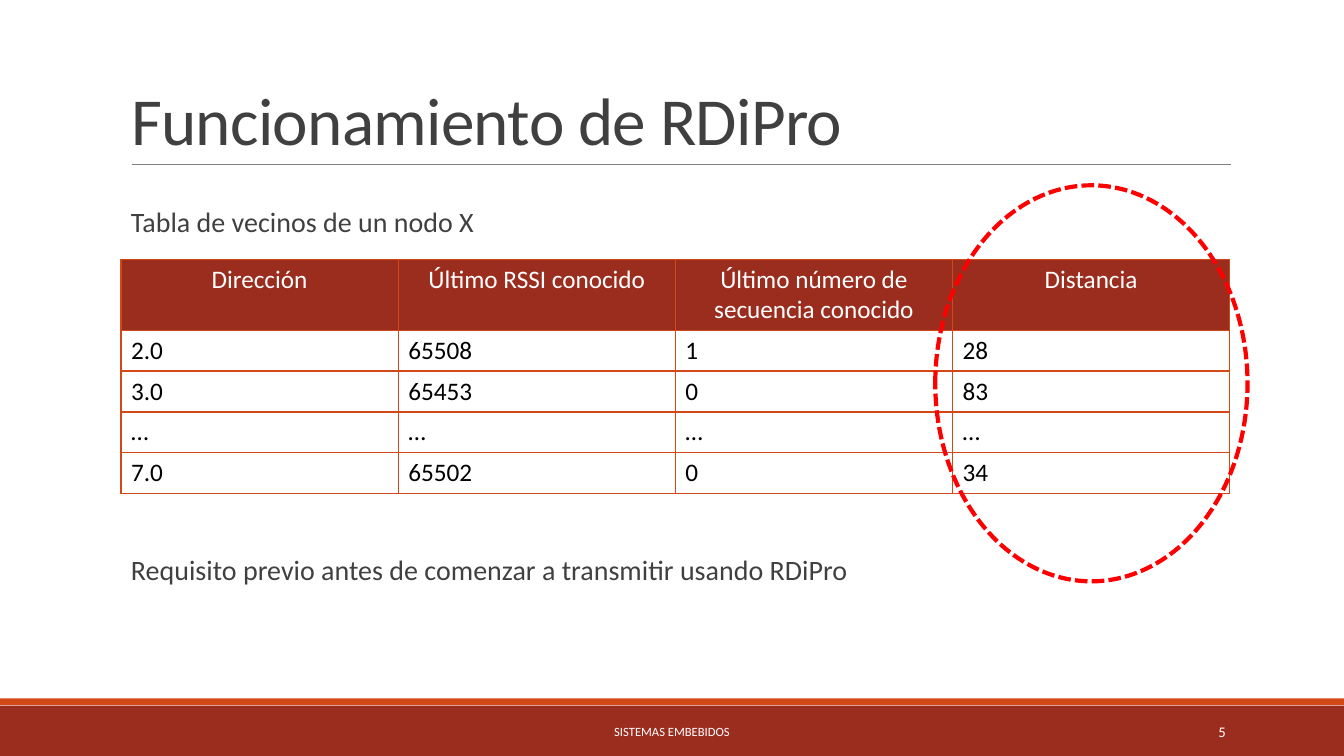
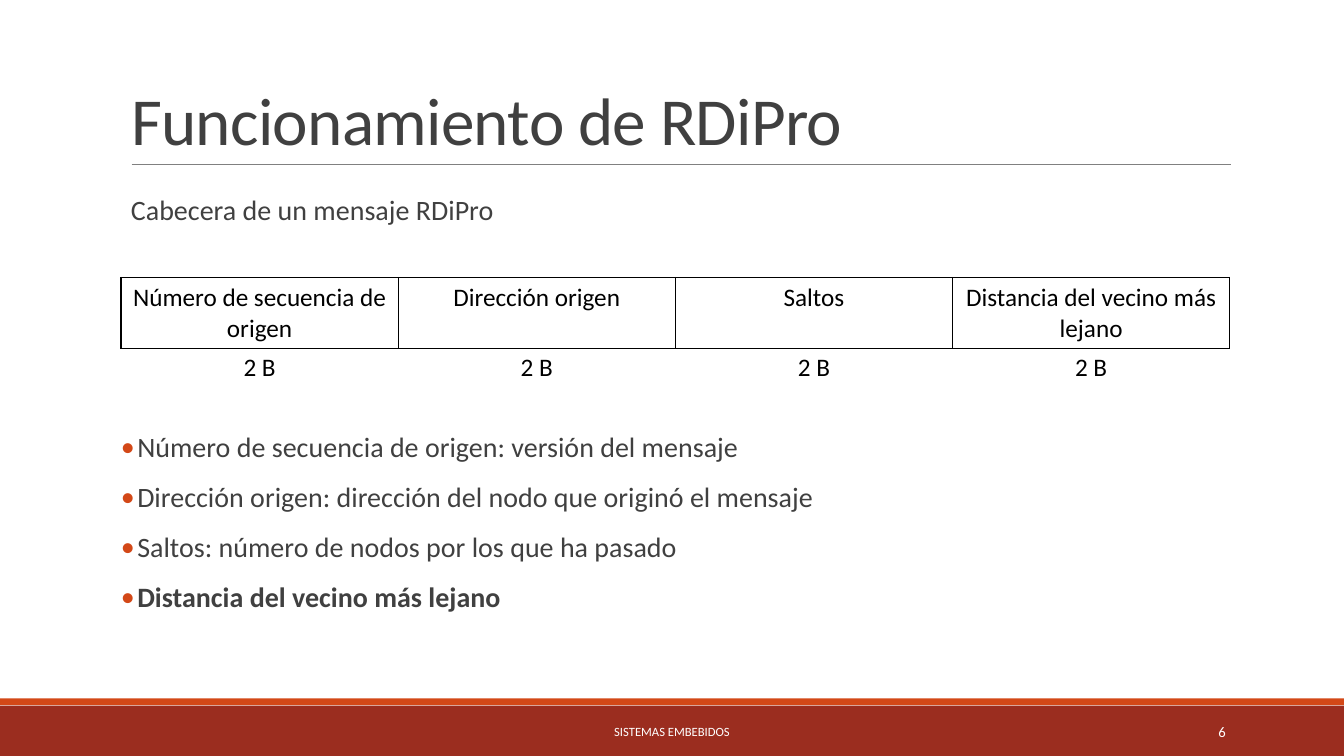
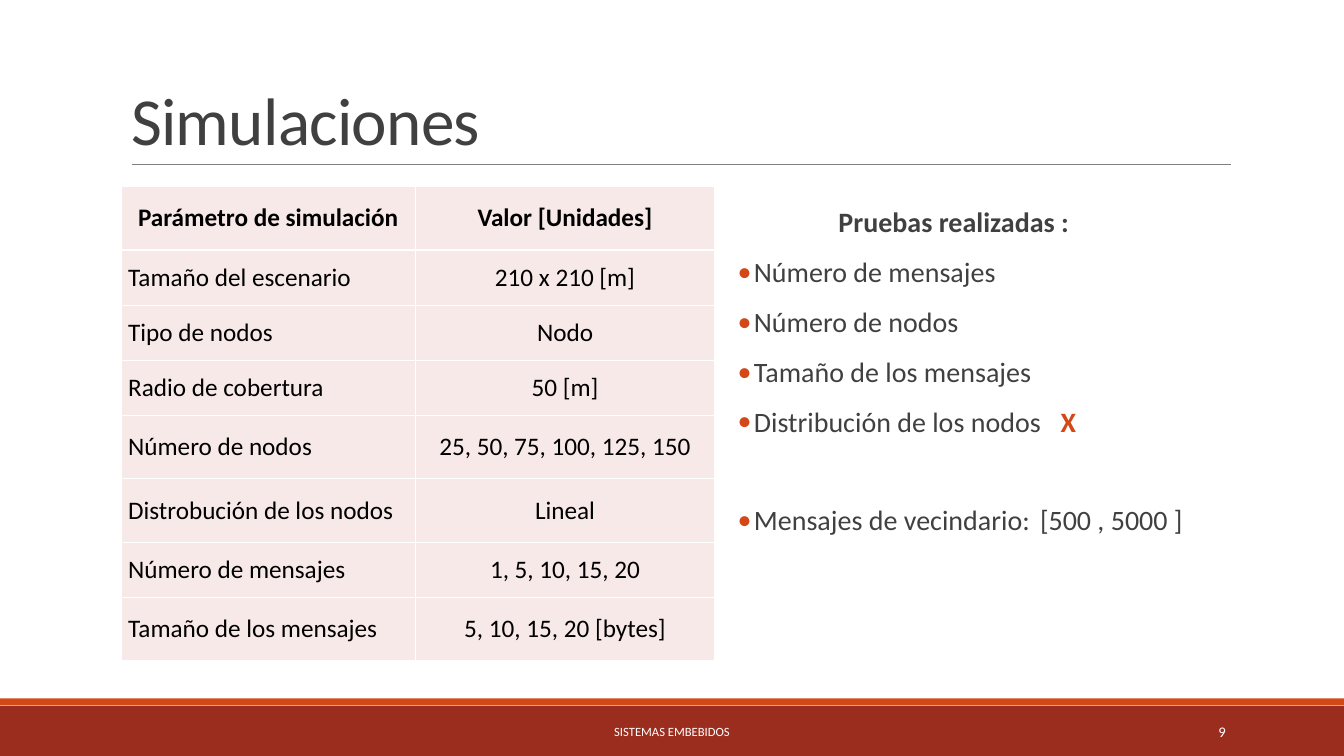
"""Build three slides on the RDiPro protocol and its simulations."""
import lxml.etree
import pptx
import pptx.dml.color
import pptx.enum.dml
import pptx.enum.shapes
import pptx.enum.text
import pptx.oxml
import pptx.oxml.ns
import pptx.util

Cm, Pt = pptx.util.Cm, pptx.util.Pt
Align, Anchor = pptx.enum.text.PP_ALIGN, pptx.enum.text.MSO_ANCHOR
Shape = pptx.enum.shapes.MSO_SHAPE
qn = pptx.oxml.ns.qn

FONT = "Calibri"
BRICK, ORANGE, PINK = "9B2D1F", "D34817", "F7E9E8"
GRAY, RULE, WHITE, BLACK, RED = "404040", "808080", "FFFFFF", "000000", "FF0000"
LEFT, WIDTH = 3.05, 27.94
SLIDE_WIDTH, SLIDE_HEIGHT = 33.87, 19.05
NO_STYLE = "{2D5ABB26-0587-4C30-8999-92F81FD0307C}"


def rgb(value):
    """Turn a hex string into a colour."""
    return pptx.dml.color.RGBColor.from_string(value)


def add_text(page, place, lines, size=20, color=GRAY, align=Align.LEFT,
             anchor=Anchor.TOP, spacing=0.9):
    """Add a text box; each line is text plus a dict of options."""
    frame = page.shapes.add_textbox(*map(Cm, place)).text_frame
    frame.word_wrap = True
    frame.vertical_anchor = anchor
    frame.margin_left = frame.margin_right = 0
    for index, (text, options) in enumerate(lines):
        para = frame.add_paragraph() if index else frame.paragraphs[0]
        para.text = text
        para.alignment = align
        para.line_spacing = spacing
        para.space_before = Pt(options.get("before", 12 if index else 0))
        para.space_after = Pt(2)
        font = para.runs[0].font
        font.name, font.size, font.bold = FONT, Pt(size), options.get("bold", False)
        font.color.rgb = rgb(color)
        settings = para._p.get_or_add_pPr()
        settings.set("marL", str(Cm(options.get("indent", 0))))
        if options.get("bullet"):
            settings.set("indent", str(-Cm(options["indent"])))
            bullet_color = lxml.etree.SubElement(settings, qn("a:buClr"))
            lxml.etree.SubElement(bullet_color, qn("a:srgbClr"), val=ORANGE)
            lxml.etree.SubElement(settings, qn("a:buFont"), typeface=FONT)
            lxml.etree.SubElement(settings, qn("a:buChar"), char="•")
        if "tab" in options:
            stops = lxml.etree.SubElement(settings, qn("a:tabLst"))
            lxml.etree.SubElement(stops, qn("a:tab"), pos=str(Cm(options["tab"])), algn="l")
    return frame


deck = pptx.Presentation()
deck.slide_width, deck.slide_height = Cm(SLIDE_WIDTH), Cm(SLIDE_HEIGHT)

pages = []
for title_text, number in [("Funcionamiento de RDiPro", "5"),
                           ("Funcionamiento de RDiPro", "6"),
                           ("Simulaciones", "9")]:
    page = deck.slides.add_slide(deck.slide_layouts[5])
    pages.append(page)
    for top, height, color in [(17.78, 1.27, BRICK), (17.6, 0.17, ORANGE)]:
        band = page.shapes.add_shape(Shape.RECTANGLE, 0, Cm(top), Cm(SLIDE_WIDTH), Cm(height))
        band.shadow.inherit = False
        band.fill.solid()
        band.fill.fore_color.rgb = rgb(color)
        band.line.fill.background()
    rule = page.shapes.add_connector(pptx.enum.shapes.MSO_CONNECTOR.STRAIGHT,
                                     Cm(3.32), Cm(4.14), Cm(31.01), Cm(4.14))
    rule.line.color.rgb = rgb(RULE)
    rule.line.width = Pt(0.5)
    lxml.etree.SubElement(rule._element.spPr, qn("a:effectLst"))

    title = page.shapes.title
    title.left, title.top, title.width, title.height = map(Cm, (LEFT, 0.1, WIDTH, 4.04))
    title.text_frame.text = title_text
    title.text_frame.vertical_anchor = Anchor.BOTTOM
    title.text_frame.auto_size = pptx.enum.text.MSO_AUTO_SIZE.NONE
    para = title.text_frame.paragraphs[0]
    para.alignment = Align.LEFT
    para.line_spacing = 0.85
    span = para.runs[0]
    span.font.name, span.font.size = FONT, Pt(48)
    span.font.color.rgb = rgb(GRAY)
    span._r.get_or_add_rPr().set("spc", "-50")

    for place, text, size, align in [
            ((10.24, 17.93, 13.39, 1.02), "SISTEMAS EMBEBIDOS", 9, Align.CENTER),
            ((27.51, 17.93, 3.38, 1.02), number, 10.5, Align.RIGHT)]:
        add_text(page, place, [(text, {})], size, WHITE, align, Anchor.MIDDLE, 1.0)

neighbours, header, simulations = pages
plain = {"indent": 0.25}
item = {"indent": 0.41, "bullet": True}

add_text(neighbours, (LEFT, 5.13, WIDTH, 11.18), [
    ("Tabla de vecinos de un nodo X", plain),
    ("Requisito previo antes de comenzar a transmitir usando RDiPro",
     {**plain, "before": 225})])
add_text(header, (LEFT, 4.83, WIDTH, 1.6), [("Cabecera de un mensaje RDiPro", plain)])
add_text(header, (LEFT, 10.8, WIDTH, 5.49), [
    ("Número de secuencia de origen: versión del mensaje", item),
    ("Dirección origen: dirección del nodo que originó el mensaje", item),
    ("Saltos: número de nodos por los que ha pasado", item),
    ("Distancia del vecino más lejano", {**item, "bold": True})])
tests = add_text(simulations, (18.59, 5.13, 12.4, 11.18), [
    ("Pruebas realizadas :", {"indent": 2.54, "bold": True}),
    ("Número de mensajes", item),
    ("Número de nodos", item),
    ("Tamaño de los mensajes", item),
    ("Distribución de los nodos\t", {**item, "tab": 8.14}),
    ("Mensajes de vecindario:\t[500 , 5000 ]", {**item, "before": 47, "tab": 7.62})])
cross = tests.paragraphs[4].add_run()
cross.text = "X"
cross.font.name, cross.font.size, cross.font.bold = FONT, Pt(20), True
cross.font.color.rgb = rgb(ORANGE)

quarters = [WIDTH / 4] * 4
neighbour_rows = [
    ["Dirección", "Último RSSI conocido", "Último número de secuencia conocido", "Distancia"],
    ["2.0", "65508", "1", "28"],
    ["3.0", "65453", "0", "83"],
    ["…", "…", "…", "…"],
    ["7.0", "65502", "0", "34"]]
header_rows = [["Número de secuencia de origen", "Dirección origen", "Saltos",
                "Distancia del vecino más lejano"]]
simulation_rows = [
    ["Parámetro de simulación", "Valor [Unidades]"],
    ["Tamaño del escenario", "210 x 210 [m]"],
    ["Tipo de nodos", "Nodo"],
    ["Radio de cobertura", "50 [m]"],
    ["Número de nodos", "25, 50, 75, 100, 125, 150"],
    ["Distrobución de los nodos", "Lineal"],
    ["Número de mensajes", "1, 5, 10, 15, 20"],
    ["Tamaño de los mensajes", "5, 10, 15, 20 [bytes]"]]
simulation_heights = [1.6, 1.39, 1.39, 1.39, 1.6, 1.6, 1.39, 1.6]

for page, top, widths, heights, rows, border, head_fill, body_fill in [
        (neighbours, 6.53, quarters, [1.79] + [1.03] * 4, neighbour_rows, ORANGE, BRICK, None),
        (header, 6.99, quarters, [1.79], header_rows, BLACK, None, None),
        (header, 8.76, quarters, [1.6], [["2 B"] * 4], None, None, None),
        (simulations, 4.7, [7.42, 7.54], simulation_heights, simulation_rows,
         WHITE, PINK, PINK)]:
    compact = page is simulations
    table = page.shapes.add_table(len(rows), len(widths), Cm(LEFT), Cm(top),
                                  Cm(sum(widths)), Cm(sum(heights))).table
    table.first_row = table.horz_banding = False
    table._tbl.tblPr.find(qn("a:tableStyleId")).text = NO_STYLE
    for column, width in zip(table.columns, widths):
        column.width = Cm(width)
    for row_index, (row, height, texts) in enumerate(zip(table.rows, heights, rows)):
        row.height = Cm(height)
        fill = body_fill if row_index else head_fill
        for column_index, (cell, text) in enumerate(zip(row.cells, texts)):
            cell.text_frame.text = text
            if compact:
                cell.vertical_anchor = Anchor.MIDDLE
                cell.margin_left = cell.margin_right = Cm(0.18)
                cell.margin_top = cell.margin_bottom = 0
            para = cell.text_frame.paragraphs[0]
            centred = row_index == 0 or (compact and column_index == 1)
            para.alignment = Align.CENTER if centred else Align.LEFT
            font = para.runs[0].font
            font.name, font.size = FONT, Pt(18)
            font.bold = compact and row_index == 0
            font.color.rgb = rgb(WHITE if fill == BRICK else BLACK)
            if border:
                for side in ("a:lnL", "a:lnR", "a:lnT", "a:lnB"):
                    edge = lxml.etree.SubElement(cell._tc.get_or_add_tcPr(), qn(side),
                                                 w=str(Pt(1)))
                    paint = lxml.etree.SubElement(edge, qn("a:solidFill"))
                    lxml.etree.SubElement(paint, qn("a:srgbClr"), val=border)
            if fill:
                cell.fill.solid()
                cell.fill.fore_color.rgb = rgb(fill)
            else:
                cell.fill.background()

highlight = neighbours.shapes.add_shape(Shape.OVAL, Cm(23.57), Cm(4.67), Cm(7.87), Cm(9.98))
highlight.shadow.inherit = False
highlight.fill.background()
highlight.line.color.rgb = rgb(RED)
highlight.line.width = Pt(3)
highlight.line.dash_style = pptx.enum.dml.MSO_LINE.SQUARE_DOT

deck.save("out.pptx")
